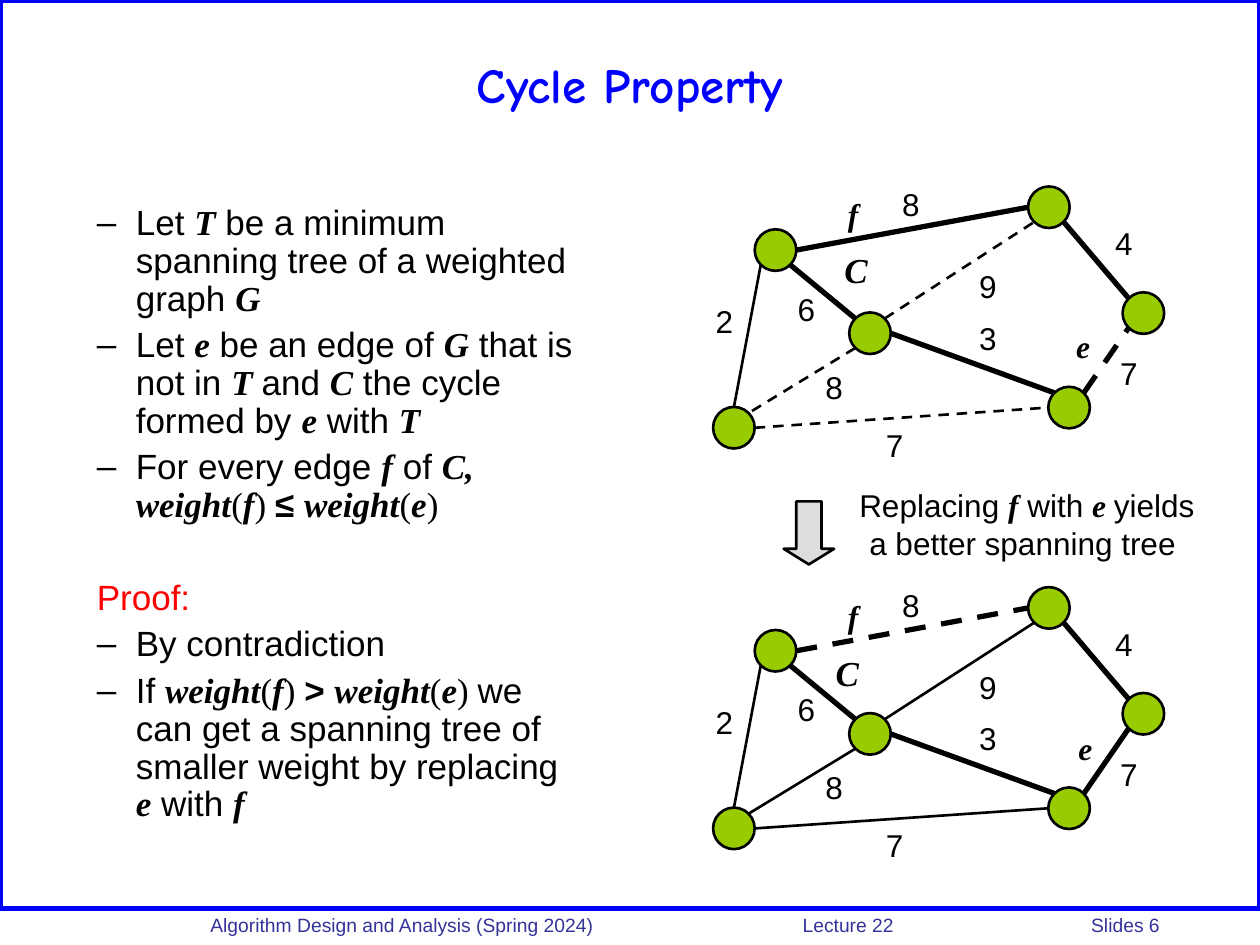
import pptx
import pptx.util
import pptx.dml.color
import pptx.enum.dml
import pptx.enum.shapes
import pptx.enum.text
import lxml.etree
from pptx.util import Inches, Pt

A = "{http://schemas.openxmlformats.org/drawingml/2006/main}"
CENTER = pptx.enum.text.PP_ALIGN.CENTER
SHAPE = pptx.enum.shapes.MSO_SHAPE
# Mark at the start of a text piece: font, bold, italic
STYLES = {
    "*": ("Times New Roman", True, True),
    "^": ("Times New Roman", False, False),
    "~": ("Arial", True, False),
}


def rgb(code):
    return pptx.dml.color.RGBColor.from_string(code)


def write(paragraph, text, size, color="000000", font="Arial", align=None):
    """Fill a paragraph with pieces split at "|", each styled by its STYLES mark."""
    paragraph.alignment = align
    paragraph.font.name = font
    paragraph.font.size = Pt(size)
    paragraph.font.color.rgb = rgb(color)
    for piece in text.split("|"):
        if piece == "\n":
            paragraph.add_line_break()
            continue
        run = paragraph.add_run()
        run.text = piece
        if piece[0] in STYLES:
            run.text = piece[1:]
            run.font.name, run.font.bold, run.font.italic = STYLES[piece[0]]


deck = pptx.Presentation()
deck.slide_width, deck.slide_height = Inches(10), Inches(7.5)
slide = deck.slides.add_slide(deck.slide_layouts[6])

# Frame and footer
frame = slide.shapes.add_shape(SHAPE.RECTANGLE, 0, 0, Inches(10), Inches(7.21))
frame.shadow.inherit = False
frame.fill.background()
frame.line.color.rgb = rgb("0000FF")
frame.line.width = Pt(3)

footer = slide.shapes.add_textbox(Inches(1.33), Inches(7.2), Inches(8.67), Inches(0.26)).text_frame
footer.word_wrap = True
footer.margin_left = Inches(0.34)
footer_line = footer.paragraphs[0]
tabs = lxml.etree.SubElement(footer_line._p.get_or_add_pPr(), A + "tabLst")
for stop in (4.7, 6.99):
    lxml.etree.SubElement(tabs, A + "tab", pos=str(Inches(stop)), algn="l")
write(footer_line, "Algorithm Design and Analysis (Spring 2024)\tLecture 22\tSlides 6", 11, "333399")

# Title
title = slide.shapes.add_textbox(Inches(0.5), Inches(0.17), Inches(9), Inches(1)).text_frame
title.word_wrap = True
title.vertical_anchor = pptx.enum.text.MSO_ANCHOR.MIDDLE
write(title.paragraphs[0], "Cycle Property", 28, "0000FF", "Comic Neue", CENTER)
title.paragraphs[0].font.bold = True

# Statement and proof: text, space before, bulleted
statement = [
    ("Let |*T| be a minimum spanning tree of a weighted graph |*G", 0, True),
    ("Let |*e| be an edge of |*G| that is not in |*T |and |*C| the cycle formed by |*e| with |*T", 5, True),
    ("For every edge |*f| of |*C, weight|^(|*f|^) |~≤ |*weight|^(|*e|^)", 5, True),
    ("Proof:", 31.5, False),
    ("By contradiction", 5, True),
    ("If |*weight|^(|*f|^) |~> |*weight|^(|*e|^) |we can get a spanning tree of "
     "smaller weight by replacing |*e| with |*f", 5, True),
]
body = slide.shapes.add_textbox(Inches(0.17), Inches(1.58), Inches(4.5), Inches(5.33)).text_frame
body.word_wrap = True
for i, (text, space, bulleted) in enumerate(statement):
    point = body.add_paragraph() if i else body.paragraphs[0]
    point.line_spacing = 0.9
    point.space_before = Pt(space)
    props = point._p.get_or_add_pPr()
    props.set("marL", str(Inches(0.81)))
    props.set("indent", str(Inches(-0.31)))
    if bulleted:
        bullet_color = lxml.etree.SubElement(props, A + "buClr")
        lxml.etree.SubElement(bullet_color, A + "srgbClr", val="000000")
        lxml.etree.SubElement(props, A + "buFont", typeface="Arial")
        lxml.etree.SubElement(props, A + "buChar", char="–")
    else:
        lxml.etree.SubElement(props, A + "buNone")
    write(point, text, 20, "000000" if bulleted else "FF0000")

# The weighted graph, before and after the swap
DIAMETER = 0.33
RADIUS = DIAMETER / 2
DIAGONAL = RADIUS * 0.71
RIM = {
    "N": (0, -RADIUS), "E": (RADIUS, 0), "W": (-RADIUS, 0),
    "NE": (DIAGONAL, -DIAGONAL), "SE": (DIAGONAL, DIAGONAL),
    "SW": (-DIAGONAL, DIAGONAL), "NW": (-DIAGONAL, -DIAGONAL),
}
vertices = {
    "upper left": (5.99, 1.82), "top": (8.16, 1.48), "middle": (6.74, 2.48),
    "lower left": (5.66, 3.23), "right": (8.91, 2.32), "lower right": (8.32, 3.07),
}
# Start, its rim point, end, its rim point, on the cycle
edges = [
    ("upper left", "SE", "middle", "NW", True),
    ("middle", "SW", "lower left", "NE", False),
    ("upper left", "SW", "lower left", "N", False),
    ("middle", "E", "lower right", "NW", True),
    ("lower left", "E", "lower right", "W", False),
    ("upper left", "E", "top", "W", True),
    ("middle", "NE", "top", "SW", False),
    ("right", "NW", "top", "SE", True),
    ("lower right", "NE", "right", "SW", True),
]
weights = [
    ("8", 7.06, 1.42), ("4", 8.75, 1.73), ("2", 5.58, 2.35),
    ("3", 7.67, 2.48), ("6", 6.23, 2.25), ("7", 6.93, 3.33),
    ("7", 8.79, 2.76), ("9", 7.67, 2.07), ("8", 6.45, 2.87),
]
# Drop down the slide, indexes of dashed edges, places of the names e, C and f
graphs = [
    (0, (1, 4, 6, 8), [("*e", 8.44, 2.55), ("*C", 6.56, 1.92), ("*f", 6.6, 1.5)]),
    (3.18, (5,), [("*e", 8.46, 2.56), ("*C", 6.49, 1.94), ("*f", 6.6, 1.51)]),
]
for drop, dashed, names in graphs:
    graph = slide.shapes.add_group_shape().shapes
    for x, y in vertices.values():
        vertex = graph.add_shape(SHAPE.OVAL, Inches(x), Inches(y + drop), Inches(DIAMETER), Inches(DIAMETER))
        vertex.shadow.inherit = False
        vertex.fill.solid()
        vertex.fill.fore_color.rgb = rgb("99CC00")
        vertex.line.color.rgb = rgb("000000")
        vertex.line.width = Pt(1.5)
    for i, (start, start_rim, end, end_rim, on_cycle) in enumerate(edges):
        ends = []
        for name, rim in ((start, start_rim), (end, end_rim)):
            ends.append(Inches(vertices[name][0] + RADIUS + RIM[rim][0]))
            ends.append(Inches(vertices[name][1] + RADIUS + RIM[rim][1] + drop))
        edge = graph.add_connector(pptx.enum.shapes.MSO_CONNECTOR.STRAIGHT, *ends)
        edge.line.color.rgb = rgb("000000")
        edge.line.width = Pt(3 if on_cycle else 1.5)
        if i in dashed:
            edge.line.dash_style = pptx.enum.dml.MSO_LINE.DASH
        lxml.etree.SubElement(edge._element.spPr, A + "effectLst")
    for text, x, y in weights + names:
        width, height, size = {"*C": (0.47, 0.44, 20), "*e": (0.31, 0.4, 18)}.get(text, (0.34, 0.4, 18))
        label = graph.add_textbox(Inches(x), Inches(y + drop), Inches(width), Inches(height)).text_frame
        label.word_wrap = False
        write(label.paragraphs[0], text, size, align=CENTER)

# The swap between the two graphs
arrow = slide.shapes.add_shape(SHAPE.DOWN_ARROW, Inches(6.22), Inches(3.98), Inches(0.4), Inches(0.5))
arrow.shadow.inherit = False
arrow.adjustments[1] = 0.31
arrow.fill.solid()
arrow.fill.fore_color.rgb = rgb("DDDDDD")
arrow.line.color.rgb = rgb("000000")
arrow.line.width = Pt(1.5)

swap = slide.shapes.add_textbox(Inches(6.72), Inches(3.81), Inches(2.86), Inches(0.7)).text_frame
swap.word_wrap = False
write(swap.paragraphs[0], "Replacing |*f| with |*e |yields|\n|a better spanning tree ", 18, align=CENTER)

deck.save("out.pptx")
